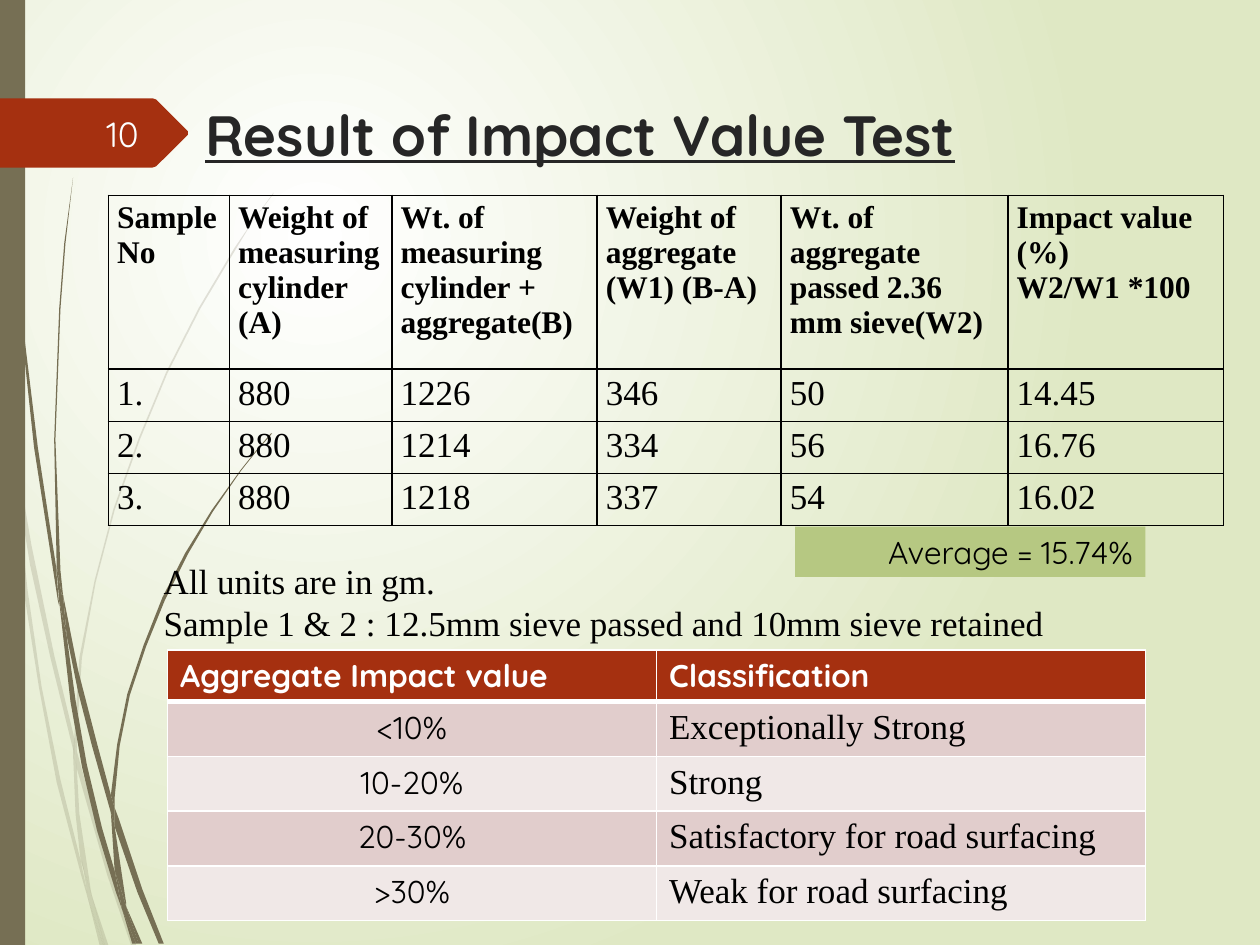
from lxml import etree
from pptx import Presentation
from pptx import util as u
from pptx.dml.color import RGBColor
from pptx.enum import shapes, text
from pptx.oxml import parse_xml
from pptx.oxml.ns import nsdecls, qn

COLORS = {
    "white": "FFFFFF", "black": "000000", "title": "262626", "number": "FEFFFF",
    "rust": "A53010", "stem": "766F54", "green": "B6C882", "meadow": "DFE8C4",
    "pink": "E1CDCC", "pale": "F0E8E7",
}
SANS, SERIF = "Quicksand", "Times New Roman"

# Outline of each blade of grass, as x,y pairs in inches.
FAINT_BLADES = [
    "0.08,3.5 0.06,3.22 0,2.82 0,2.99 0.07,3.44",
    "0.4,5.22 0.59,5.99 0.59,5.86 0.43,5.2 0.25,4.33 0.1,3.45 0.12,3.76 0.24,4.49",
    "0.64,6.07 0.61,5.96 0.61,6.1 0.85,6.94 1.04,7.5 1.08,7.5 0.88,6.92",
    "0.83,7.5 0.86,7.5 0.73,7.11",
    "0.64,6.83 0.48,6.19 0.33,5.45 0.22,4.69 0.12,3.76 0.08,3.5 0.19,4.7 0.31,5.46 0.45,6.21 "
    "0.64,6.93 0.7,7.14 0.69,7.07",
    "0.58,5.99 0.6,6.46 0.64,6.83 0.67,6.92 0.73,7.11 0.72,7.06 0.63,6.46 0.61,6.1 0.61,6.08",
    "0.61,5.84 0.65,5.22 0.76,4.62 0.91,4.05 1.11,3.49 1.33,2.96 1.59,2.45 1.87,1.98 2.01,1.75 2.17,1.54 "
    "2.17,1.53 2.01,1.75 1.86,1.97 1.58,2.44 1.32,2.95 1.1,3.48 0.9,4.04 0.75,4.61 0.63,5.22 "
    "0.59,5.84 0.59,5.86 0.61,5.96",
    "0.7,7.14 0.79,7.5 0.82,7.5",
    "0.61,6.08 0.61,6.1 0.61,5.96 0.59,5.86 0.58,5.99",
    "0.67,6.92 0.65,6.83 0.69,7.07 0.7,7.14 0.82,7.5 0.83,7.5 0.73,7.11",
]
DARK_BLADES = [
    "0.05,1.1 0.14,2.33 0.27,3.55 0.46,4.77 0.47,4.81 0.45,4.57 0.45,4.53 0.3,3.55 0.15,2.32 "
    "0.06,1.09 0.04,0.48 0.03,0 0.02,0 0.03,0.48",
    "0.73,5.92 0.88,6.45 0.88,6.33 0.88,6.31 0.77,5.9 0.62,5.32 0.5,4.72 0.53,5.05 0.62,5.49",
    "0.94,6.49 0.91,6.41 0.91,6.56 1.09,7.08 1.26,7.49 1.3,7.49 1.13,7.06",
    "0.91,6.91 0.81,6.57 0.69,6.07 0.6,5.56 0.53,5.05 0.47,4.77 0.56,5.57 0.65,6.08 0.77,6.59 "
    "0.92,7.08 0.97,7.22 0.96,7.17",
    "0.5,4.72 0.48,4.53 0.44,3.49 0.48,2.45 0.52,1.93 0.58,1.41 0.51,1.93 0.47,2.45 0.43,3.49 "
    "0.45,4.49 0.49,4.72",
    "1.1,7.49 1.13,7.49 1,7.19",
    "0.47,4.77 0.53,5.05 0.5,4.72 0.49,4.72 0.45,4.49 0.45,4.53",
    "0.91,6.33 0.95,5.92 1.03,5.52 1.16,5.13 1.31,4.76 1.49,4.4 1.69,4.06 1.91,3.74 2.03,3.59 2.16,3.44 "
    "2.15,3.44 2.03,3.58 1.91,3.73 1.68,4.05 1.47,4.39 1.29,4.74 1.14,5.12 1.01,5.51 0.93,5.91 "
    "0.88,6.31 0.91,6.41",
    "0.97,7.22 1.05,7.49 1.08,7.49",
    "0.88,6.45 0.91,6.91 0.96,7.06 1,7.19 1,7.16 0.91,6.56 0.9,6.51",
    "0.88,6.45 0.9,6.51 0.91,6.56 0.91,6.41 0.88,6.31 0.88,6.33",
    "0.96,7.06 0.91,6.91 0.96,7.17 0.97,7.22 1.08,7.49 1.1,7.49 1,7.19",
]
PAGE_MARKER = "0,0.78 1.21,0.78 1.24,0.79 1.49,1.04 1.49,1.07 1.24,1.32 1.21,1.33 0,1.33"

RESULTS = [
    ["Sample No", "Weight of measuring cylinder\n(A)", "Wt. of measuring cylinder + aggregate(B)",
     "Weight of aggregate\n(W1) (B-A)", "Wt. of aggregate passed 2.36 mm sieve(W2)",
     "Impact value\n(%)\nW2/W1 *100"],
    ["1.", "880", "1226", "346", "50", "14.45"],
    ["2.", "880", "1214", "334", "56", "16.76"],
    ["3.", "880", "1218", "337", "54", "16.02"],
]
CLASSES = [
    ["Aggregate Impact value", "Classification"],
    ["<10%", "Exceptionally Strong"],
    ["10-20%", "Strong"],
    ["20-30%", "Satisfactory for road surfacing"],
    [">30%", "Weak for road surfacing"],
]


class SlideBuilder:
    """Holds the colours and the slide that every element is added to."""

    def __init__(self, slide, colors):
        self.slide, self.colors = slide, colors

    def rgb(self, color):
        return RGBColor.from_string(self.colors[color])

    def background(self, inner, outer):
        self.slide.background.fill.solid()
        props = self.slide.element.xpath(".//p:bgPr")[0]
        stops = "".join(f'<a:gs pos="{pos}"><a:srgbClr val="{self.colors[c]}"/></a:gs>'
                        for pos, c in ((0, inner), (100000, outer)))
        props.replace(props[0], parse_xml(
            f'<a:gradFill {nsdecls("a")} rotWithShape="1"><a:gsLst>{stops}</a:gsLst><a:path path="circle">'
            '<a:fillToRect l="50000" t="50000" r="100000" b="100000"/></a:path></a:gradFill>'))

    def paint(self, shape, color):
        shape.shadow.inherit = False
        shape.fill.solid()
        shape.fill.fore_color.rgb = self.rgb(color)
        shape.line.fill.background()
        return shape

    def rect(self, box, color):
        return self.paint(self.slide.shapes.add_shape(
            shapes.MSO_SHAPE.RECTANGLE, *map(u.Inches, box)), color)

    def polygon(self, outline, color, opacity=100):
        corners = [[u.Inches(float(n)) for n in pair.split(",")] for pair in outline.split()]
        builder = self.slide.shapes.build_freeform(*corners[0])
        builder.add_line_segments(corners[1:])
        shape = self.paint(builder.convert_to_shape(), color)
        if opacity < 100:
            tint = shape.element.spPr.find(qn("a:solidFill"))[0]
            etree.SubElement(tint, qn("a:alpha")).set("val", str(opacity * 1000))

    def add_words(self, frame, words, size, font, color="black", bold=False, underline=False, align="LEFT"):
        frame.word_wrap = True
        for i, line in enumerate(words.split("\n")):
            paragraph = frame.add_paragraph() if i else frame.paragraphs[0]
            paragraph.alignment = text.PP_ALIGN[align]
            run = paragraph.add_run()
            run.text = line
            run.font.size, run.font.name = u.Pt(size), font
            run.font.bold, run.font.underline = bold, underline
            run.font.color.rgb = self.rgb(color)

    def label(self, box, words, size, font, anchor="TOP", **style):
        frame = self.slide.shapes.add_textbox(*map(u.Inches, box)).text_frame
        frame.vertical_anchor = text.MSO_ANCHOR[anchor]
        self.add_words(frame, words, size, font, **style)

    def border(self, cell, color, bottom):
        props = cell._tc.get_or_add_tcPr()
        for i, side in enumerate("LRTB"):
            width = u.Pt(bottom if side == "B" else 1)
            props.insert(i, parse_xml(
                f'<a:ln{side} {nsdecls("a")} w="{width}"><a:solidFill>'
                f'<a:srgbClr val="{self.colors[color]}"/></a:solidFill></a:ln{side}>'))

    def table(self, left, top, widths, heights, rows, style, line, insets=(0.1, 0.05), header_line=1):
        """style(row, column) gives the fill colour, or None, and the text style of a cell."""
        box = (left, top, sum(widths), sum(heights))
        grid = self.slide.shapes.add_table(len(rows), len(widths), *map(u.Inches, box)).table
        for column, width in zip(grid.columns, widths):
            column.width = u.Inches(width)
        for r, (row, height) in enumerate(zip(rows, heights)):
            grid.rows[r].height = u.Inches(height)
            for c, words in enumerate(row):
                cell = grid.cell(r, c)
                cell.margin_left = cell.margin_right = u.Inches(insets[0])
                cell.margin_top = cell.margin_bottom = u.Inches(insets[1])
                fill, font = style(r, c)
                if fill:
                    cell.fill.solid()
                    cell.fill.fore_color.rgb = self.rgb(fill)
                else:
                    cell.fill.background()
                self.border(cell, line, 1 if r else header_line)
                self.add_words(cell.text_frame, words, **font)


def result_style(row, column):
    return None, dict(size=20 if row else 18, font=SERIF, bold=row == 0)


def class_style(row, column):
    if row == 0:
        return "rust", dict(size=18, font=SANS, color="white", bold=True)
    band = "pink" if row % 2 else "pale"
    return band, dict(size=20, font=SERIF) if column else dict(size=18, font=SANS, align="CENTER")


def main():
    deck = Presentation()
    deck.slide_width, deck.slide_height = u.Inches(10), u.Inches(7.5)
    page = SlideBuilder(deck.slides.add_slide(deck.slide_layouts[6]), COLORS)
    page.background("white", "meadow")
    for blades, opacity in ((FAINT_BLADES, 20), (DARK_BLADES, 100)):
        for blade in blades:
            page.polygon(blade, "stem", opacity)
    page.rect((0, 0, 0.2, 7.5), "stem")
    page.polygon(PAGE_MARKER, "rust")
    page.label((1.53, 0.74, 6.94, 0.56), "Result of Impact Value Test", 32.4, SANS,
               color="title", bold=True, underline=True)
    page.table(0.86, 1.55, [0.96, 1.29, 1.63, 1.46, 1.8, 1.71], [1.38] + [0.38] * 3,
               RESULTS, result_style, "black", insets=(0.07, 0.04))
    page.label((1.2, 4.39, 7.49, 0.77), "All units are in gm.\n"
               "Sample 1 & 2 : 12.5mm sieve passed and 10mm sieve retained", 20, SERIF)
    page.table(1.33, 5.16, [3.88] * 2, [0.41] + [0.43] * 4,
               CLASSES, class_style, "white", header_line=3)
    page.label((0.56, 0.86, 0.64, 0.4), "10", 20, SANS, anchor="MIDDLE", color="number", align="RIGHT")
    average = page.rect((6.31, 4.18, 2.78, 0.4), "green")
    page.add_words(average.text_frame, "Average = 15.74%", 18, SANS, align="RIGHT")
    deck.save("out.pptx")


if __name__ == "__main__":
    main()
